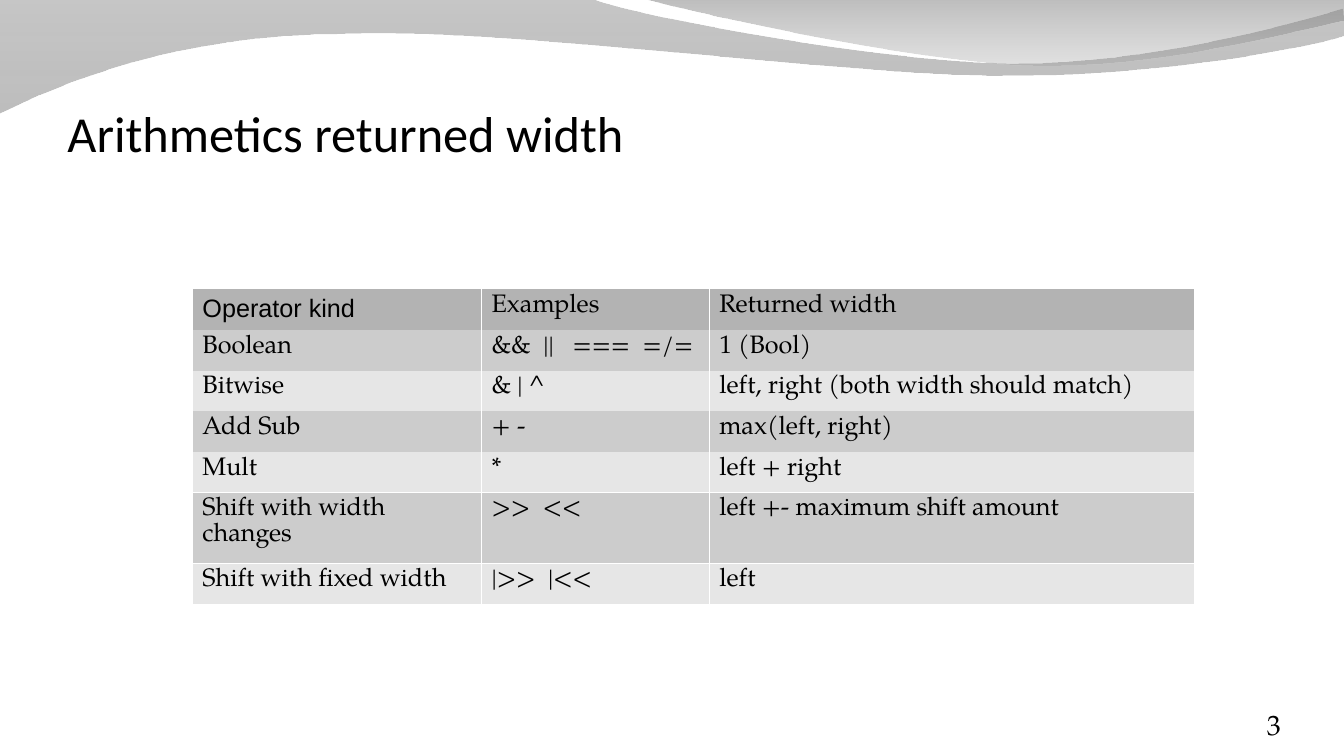
from lxml import etree
from pptx import Presentation
from pptx import util as u
from pptx.dml.color import RGBColor
from pptx.enum import text
from pptx.oxml import ns

COLORS = {
    "text": "000000", "border": "FFFFFF",
    "header": "B3B3B3", "odd": "CCCCCC", "even": "E6E6E6",
    "wave_top": "828282", "wave_bottom": "878787",
    "crest_top": "6D6D6D", "crest_bottom": "9C9C9C",
}
SERIF = "TeX Gyre Pagella"
PLAIN_TABLE_STYLE = "{2D5ABB26-0587-4C30-8999-92F81FD0307C}"

# Outlines in inches: one point is a line, three points a Bézier curve
WAVE = [[(0, 0)], [(5.87, -0.01)],
        [(6.34, 0.17), (8.85, 0.63), (10.11, 0.63)],
        [(11.38, 0.63), (12.78, 0.26), (13.33, 0.09)],
        [(13.35, 0.36)],
        [(13.11, 0.44), (11.6, 0.76), (9.95, 0.75)],
        [(8.29, 0.75), (5.09, 0.28), (3.43, 0.34)],
        [(1.72, 0.35), (0.61, 0.83), (-0.01, 1.13)],
        [(0, 0)]]
CREST = [[(6.39, -0.01)],
         [(6.79, 0.11), (9.09, 0.62), (10.25, 0.65)],
         [(11.41, 0.69), (12.82, 0.32), (13.33, 0.21)],
         [(13.33, 0)], [(6.39, -0.01)]]

COLUMN_WIDTHS = [2.87, 2.26, 4.81]
TABLE_HEIGHT = 3.12
TALL_ROW, TALL_HEIGHT = 5, 0.7
ROWS = [
    ("Operator kind", "Examples", "Returned width"),
    ("Boolean", "&&  ||   ===  =/=", "1 (Bool)"),
    ("Bitwise", "& | ^", "left, right (both width should match)"),
    ("Add Sub", "+ -", "max(left, right)"),
    ("Mult", "*", "left + right"),
    ("Shift with width changes", ">>  <<", "left +- maximum shift amount"),
    ("Shift with fixed width", "|>>  |<<", "left"),
]


def rgb(name):
    return RGBColor.from_string(COLORS[name])


def curve_segments(sp, outline):
    """Join each run of three points in the shape's path into one curve."""
    lines = list(sp.element.spPr.iter(ns.qn("a:lnTo")))
    for step in outline[1:]:
        group, lines = lines[:len(step)], lines[len(step):]
        if len(step) == 3:
            curve = etree.Element(ns.qn("a:cubicBezTo"))
            group[0].addprevious(curve)
            for line in group:
                curve.append(line[0])
                line.getparent().remove(line)


def add_band(s, outline, stops):
    """Draw a shape with a downward gradient; stops are (colour, opacity %)."""
    points = [(u.Inches(x), u.Inches(y)) for step in outline for x, y in step]
    builder = s.shapes.build_freeform(*points[0])
    builder.add_line_segments(points[1:], close=True)
    sp = builder.convert_to_shape()
    curve_segments(sp, outline)
    sp.shadow.inherit = False
    sp.line.fill.background()
    sp.fill.gradient()
    sp.fill.gradient_angle = 270
    for stop, (color, opacity) in zip(sp.fill.gradient_stops, stops):
        stop.color.rgb = rgb(color)
    for element, (color, opacity) in zip(sp.element.spPr.iter(ns.qn("a:srgbClr")), stops):
        etree.SubElement(element, ns.qn("a:alpha"), val=str(opacity * 1000))


def style_paragraph(p, size, font):
    p.font.size = u.Pt(size)
    p.font.name = font
    p.font.color.rgb = rgb("text")


def add_text(s, content, box, size, font, align):
    tf = s.shapes.add_textbox(*map(u.Inches, box)).text_frame
    tf.word_wrap = True
    tf.vertical_anchor = text.MSO_ANCHOR.BOTTOM
    tf.margin_left = tf.margin_top = tf.margin_right = tf.margin_bottom = 0
    p = tf.paragraphs[0]
    p.text = content
    p.alignment = align
    style_paragraph(p, size, font)


def add_borders(cell, sides):
    for side in sides:
        line = etree.SubElement(cell._tc.get_or_add_tcPr(), ns.qn("a:ln" + side), w="762")
        fill = etree.SubElement(line, ns.qn("a:solidFill"))
        etree.SubElement(fill, ns.qn("a:srgbClr"), val=COLORS["border"])


def add_operator_table(s, left, top):
    frame = s.shapes.add_table(len(ROWS), len(COLUMN_WIDTHS), u.Inches(left), u.Inches(top),
                               u.Inches(sum(COLUMN_WIDTHS)), u.Inches(TABLE_HEIGHT))
    table = frame.table
    table.first_row = table.horz_banding = False
    next(table._tbl.iter(ns.qn("a:tableStyleId"))).text = PLAIN_TABLE_STYLE
    for column, width in zip(table.columns, COLUMN_WIDTHS):
        column.width = u.Inches(width)
    row_height = (TABLE_HEIGHT - TALL_HEIGHT) / (len(ROWS) - 1)
    for r, row in enumerate(ROWS):
        table.rows[r].height = u.Inches(TALL_HEIGHT if r == TALL_ROW else row_height)
        for c, content in enumerate(row):
            cell = table.cell(r, c)
            # Only the shift rows are ruled off horizontally
            add_borders(cell, "LRTB" if r >= TALL_ROW else "LR")
            cell.fill.solid()
            cell.fill.fore_color.rgb = rgb("header" if r == 0 else "odd" if r % 2 else "even")
            p = cell.text_frame.paragraphs[0]
            p.text = content
            style_paragraph(p, 18, "Arial" if r == c == 0 else SERIF)


def main():
    prs = Presentation()
    prs.slide_width, prs.slide_height = u.Inches(13.34), u.Inches(7.5)
    s = prs.slides.add_slide(prs.slide_layouts[6])

    # Decorative bands along the top
    add_band(s, WAVE, [("wave_top", 45), ("wave_bottom", 55)])
    add_band(s, CREST, [("crest_top", 45), ("crest_bottom", 30)])

    # Title and slide number
    add_text(s, "Arithmetics returned width", (0.67, 0.36, 12.56, 1.25), 36, "Calibri",
             text.PP_ALIGN.LEFT)
    add_text(s, "3", (12.09, 6.95, 1.11, 0.4), 20, SERIF, text.PP_ALIGN.CENTER)

    # Table of operators
    add_operator_table(s, 1.91, 2.87)

    prs.save("out.pptx")


if __name__ == "__main__":
    main()
